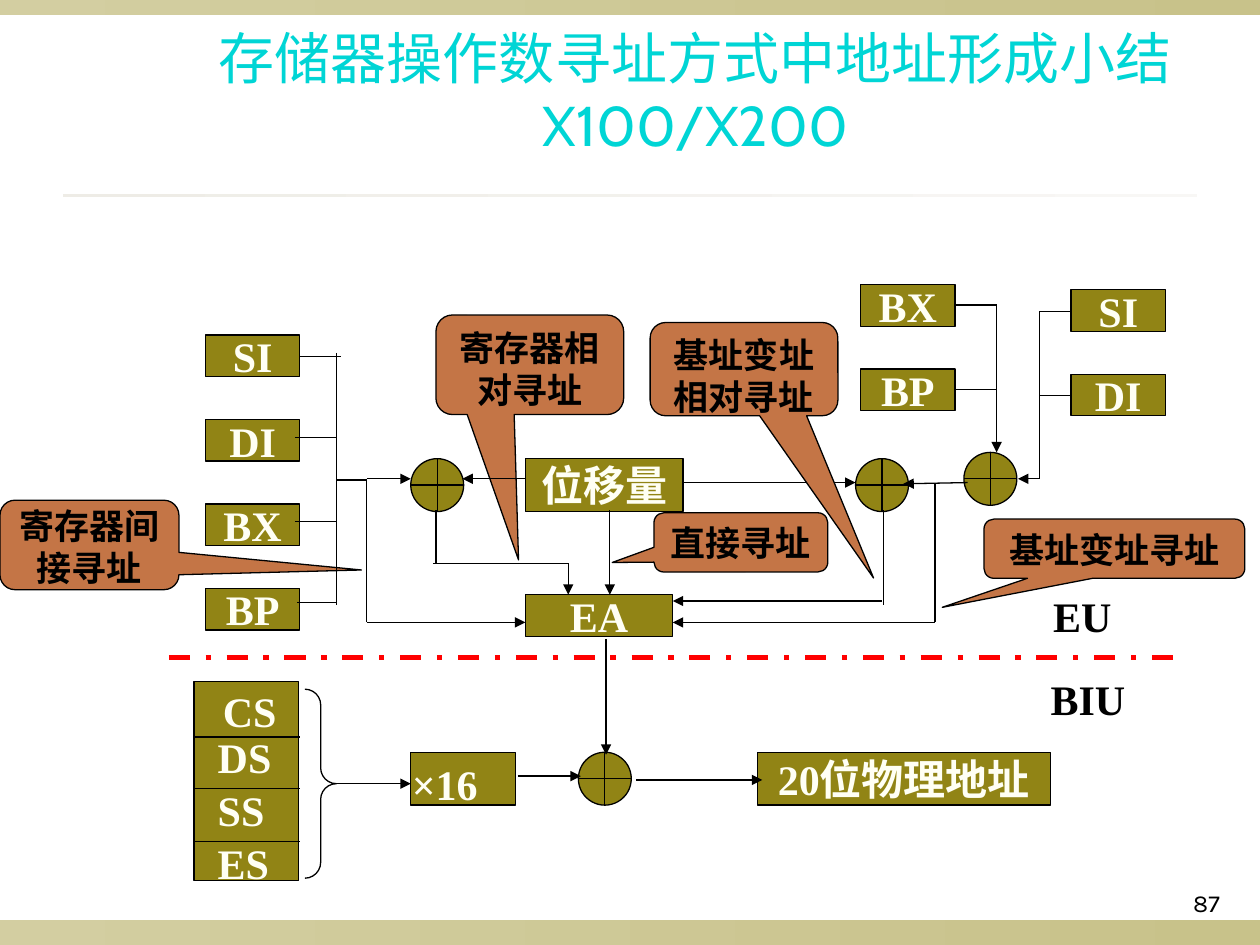
from pptx import Presentation
from pptx.dml.color import RGBColor
from pptx.enum.dml import MSO_LINE
from pptx.enum.shapes import MSO_CONNECTOR, MSO_SHAPE
from pptx.enum.text import MSO_ANCHOR, MSO_AUTO_SIZE, PP_ALIGN
from pptx.oxml.ns import qn
from pptx.util import Inches, Pt
from lxml.etree import SubElement

SERIF = "Times New Roman"
OLIVE, RUST, CREAM, BLACK = "918415", "C47546", "FFFFF4", "000000"


def color(text):
    return RGBColor.from_string(text)


def spot(*sides):
    return [Inches(side) for side in sides]


def write(shape, text, size, ink, font=SERIF, bold=True, wrap=True,
          align=PP_ALIGN.CENTER, anchor=MSO_ANCHOR.TOP, inset=0.05):
    frame = shape.text_frame
    frame.auto_size = MSO_AUTO_SIZE.NONE
    frame.word_wrap = wrap
    frame.vertical_anchor = anchor
    frame.margin_left = frame.margin_right = Inches(0.1)
    frame.margin_top = frame.margin_bottom = Inches(inset)
    line = frame.paragraphs[0]
    line.alignment = align
    run = line.add_run()
    run.text = text
    run.font.size = Pt(size)
    run.font.name = font
    run.font.bold = bold
    run.font.color.rgb = color(ink)


def block(slide, kind, place, fill):
    shape = slide.shapes.add_shape(kind, *spot(*place))
    shape.shadow.inherit = False
    shape.fill.solid()
    shape.fill.fore_color.rgb = color(fill)
    shape.line.color.rgb = color(BLACK)
    shape.line.width = Pt(0.75)
    return shape


def box(slide, text, x, y, wide=0.75, high=0.33):
    shape = block(slide, MSO_SHAPE.RECTANGLE, (x, y, wide, high), OLIVE)
    if text:
        write(shape, text, 24, CREAM, wrap=False, anchor=MSO_ANCHOR.MIDDLE)


def adder(slide, x, y):
    block(slide, MSO_SHAPE.FLOWCHART_OR, (x, y, 0.42, 0.42), OLIVE)


def callout(slide, text, place, tip, inset=0.05):
    shape = block(slide, MSO_SHAPE.ROUNDED_RECTANGULAR_CALLOUT, place, RUST)
    shape.adjustments[0], shape.adjustments[1] = tip
    write(shape, text, 20, BLACK, inset=inset)


def label(slide, text, x, y, wide, ink=BLACK):
    shape = slide.shapes.add_textbox(*spot(x, y, wide, 0.5))
    write(shape, text, 24, ink, align=PP_ALIGN.LEFT)


def band(slide, place, start, end):
    shape = block(slide, MSO_SHAPE.RECTANGLE, place, start)
    shape.line.fill.background()
    shape.fill.gradient()
    shape.fill.gradient_angle = 0
    for stop, tone in zip(shape.fill.gradient_stops, (start, end)):
        stop.color.rgb = color(tone)


def wire(slide, points, arrow=False, ink=BLACK, width=0.75):
    for start, end in zip(points, points[1:]):
        link = slide.shapes.add_connector(
            MSO_CONNECTOR.STRAIGHT, *spot(*start, *end))
        link.line.color.rgb = color(ink)
        link.line.width = Pt(width)
        SubElement(link._element.spPr, qn("a:effectLst"))
    if arrow:
        SubElement(link.line._get_or_add_ln(), qn("a:tailEnd"), type="triangle")
    return link


def frame(slide):
    band(slide, (0, 7.3, 10, 0.2), "D3CEA1", "C8C28A")
    band(slide, (0, 0, 10, 0.12), "D3CEA1", "C8C28A")
    band(slide, (0.5, 1.54, 9, 0.02), "EEECE6", "F8F7F5")
    title = slide.shapes.title
    title.left, title.top, title.width, title.height = spot(1.26, 0.23, 8.52, 1.07)
    write(title, "存储器操作数寻址方式中地址形成小结X100/X200", 32, "00D5D5",
          "Cabin", False, anchor=MSO_ANCHOR.BOTTOM)
    page = slide.shapes.add_textbox(*spot(7.7, 6.83, 2.08, 0.5))
    write(page, "87", 14, BLACK, "Karla", False,
          align=PP_ALIGN.RIGHT, anchor=MSO_ANCHOR.BOTTOM)


def notes(slide):
    callout(slide, "直接寻址", (5.19, 4.07, 1.38, 0.47), (-0.74, 0.34))
    callout(slide, "寄存器间接寻址", (0, 3.97, 1.42, 0.71), (1.52, 0.28), 0)
    callout(slide, "基址变址寻址", (7.81, 4.12, 2.07, 0.47), (-0.66, 0.99))
    callout(slide, "寄存器相对寻址", (3.46, 2.5, 1.49, 0.79), (-0.06, 1.96))


def boxes(slide):
    columns = [(1.63, 2.66, ("SI", "DI", "BX", "BP")),
               (6.83, 2.26, ("BX", "BP")),
               (8.5, 2.3, ("SI", "DI"))]
    for x, top, names in columns:
        for row, name in enumerate(names):
            box(slide, name, x, top + row * 0.67)
    box(slide, "位移量", 4.17, 3.64, 1.25, 0.42)
    box(slide, "EA", 4.17, 4.72, 1.17)
    box(slide, "20位物理地址", 6.01, 5.97, 2.33, 0.42)
    for x, y in [(6.79, 3.64), (3.26, 3.64), (4.59, 5.97), (7.65, 3.59)]:
        adder(slide, x, y)


def wires(slide):
    plain = [
        [(2.38, 2.83), (2.71, 2.83)],
        [(2.67, 2.8), (2.67, 4.8)],
        [(2.34, 3.47), (2.67, 3.47)],
        [(2.34, 4.14), (2.67, 4.14)],
        [(2.36, 4.78), (2.67, 4.78)],
        [(2.67, 3.81), (2.91, 3.81)],
        [(7.58, 3.09), (7.91, 3.09)],
        [(8.5, 3.14), (8.25, 3.14)],
        [(7.01, 4.05), (7.01, 4.8)],
        [(3.46, 4.05), (3.46, 4.47)],
    ]
    arrows = [
        [(2.91, 3.8), (3.26, 3.8)],
        [(4.17, 3.8), (3.67, 3.8)],
        [(4.84, 4.05), (4.84, 4.72)],
        [(5.42, 3.83), (6.79, 3.83)],
        [(7.58, 2.42), (7.91, 2.42), (7.91, 3.59)],
        [(8.5, 2.47), (8.25, 2.47), (8.25, 3.8), (8.08, 3.8)],
        [(7, 4.77), (5.34, 4.77)],
        [(4.81, 5.07), (4.81, 5.99)],
        [(4.11, 6.16), (4.61, 6.16)],
        [(5.05, 6.19), (6.05, 6.19)],
        [(2.67, 6.22), (3.26, 6.22)],
        [(3.44, 4.47), (4.51, 4.47), (4.51, 4.72)],
        [(2.91, 3.81), (2.91, 4.94), (4.17, 4.94)],
        [(7.68, 3.83), (7.17, 3.84)],
        [(7.42, 3.84), (7.42, 4.94), (5.34, 4.94)],
    ]
    for points in plain:
        wire(slide, points)
    for points in arrows:
        wire(slide, points, True)


def stack(slide):
    box(slide, "", 1.54, 5.41, 0.83, 1.58)
    for y in (5.85, 6.26, 6.68):
        wire(slide, [(1.54, y), (2.38, y)])
    for name, x, y in [("CS", 1.67, 5.39), ("DS", 1.63, 5.76),
                       ("SS", 1.63, 6.18), ("ES", 1.63, 6.6)]:
        label(slide, name, x, y, 0.67, CREAM)
    box(slide, "", 3.26, 5.97, 0.83, 0.42)
    label(slide, "×16", 3.17, 5.97, 1, CREAM)
    brace = block(slide, MSO_SHAPE.RIGHT_BRACE, (2.42, 5.47, 0.25, 1.5), OLIVE)
    brace.fill.background()
    brace.adjustments[0] = 0.5


def main():
    deck = Presentation()
    deck.slide_width, deck.slide_height = spot(10, 7.5)
    slide = deck.slides.add_slide(deck.slide_layouts[5])
    frame(slide)
    notes(slide)
    boxes(slide)
    wires(slide)
    stack(slide)
    border = wire(slide, [(1.34, 5.22), (9.34, 5.22)], ink="FF0000", width=3)
    border.line.dash_style = MSO_LINE.DASH_DOT
    label(slide, "EU", 8.26, 4.64, 0.75)
    label(slide, "BIU", 8.24, 5.3, 0.92)
    callout(slide, "基址变址相对寻址", (5.16, 2.56, 1.49, 0.74), (0.69, 2.24))
    deck.save("out.pptx")


if __name__ == "__main__":
    main()
